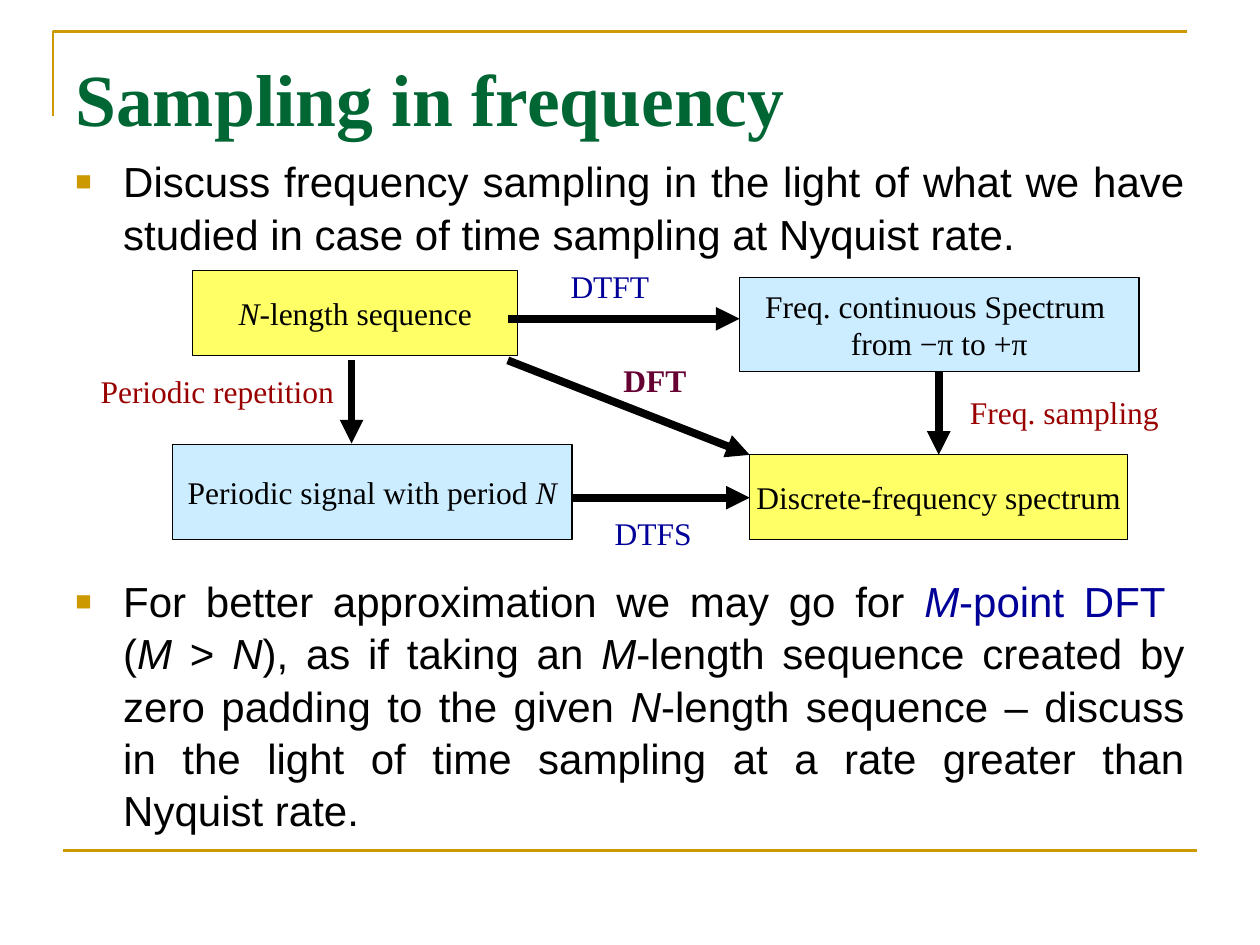
from lxml.etree import SubElement
from pptx import Presentation
from pptx.dml.color import RGBColor
from pptx.enum.shapes import MSO_CONNECTOR, MSO_SHAPE
from pptx.enum.text import MSO_ANCHOR, PP_ALIGN
from pptx.oxml.ns import qn
from pptx.util import Inches, Pt

COLORS = {
    "gold": "CC9900", "green": "006633", "black": "000000", "blue": "000099",
    "plum": "660033", "red": "990000", "yellow": "FFFF66", "sky": "CCECFF",
}
SERIF = {"name": "Times New Roman", "size": Pt(18)}
SANS = {"name": "Arial", "size": Pt(24)}
HEAD = {"name": "Times New Roman", "size": Pt(42), "bold": True}
ITAL = {"italic": True}


def tint(name):
    return RGBColor.from_string(COLORS[name])


def apply(item, values):
    for key, value in values.items():
        setattr(item, key, value)


class Page:
    """Holds the current slide and the shared style of its elements."""

    def __init__(self, slide):
        self.slide = slide
        self.shapes = slide.shapes

    def fill_para(self, para, runs, font, color="black"):
        """Add (text, format, colour) runs; a bare string takes the base style."""
        for run in runs:
            text, extra, shade = run if isinstance(run, tuple) else (run, {}, color)
            if text == "\n":
                para.add_line_break()
                continue
            part = para.add_run()
            part.text = text
            apply(part.font, {**font, **extra})
            part.font.color.rgb = tint(shade)

    def text(self, box, runs, font=SERIF, color="black", wrap=False, top=0.05):
        frame = self.shapes.add_textbox(*map(Inches, box)).text_frame
        apply(frame, {"word_wrap": wrap, "margin_top": Inches(top)})
        self.fill_para(frame.paragraphs[0], runs, font, color)
        return frame

    def bullet(self, para, runs, before):
        apply(para, {"alignment": PP_ALIGN.JUSTIFY, "line_spacing": 1.04,
                     "space_before": Pt(before)})
        props = para._p.get_or_add_pPr()
        props.set("marL", str(Inches(0.38)))
        props.set("indent", str(Inches(-0.38)))
        shade = SubElement(props, qn("a:buClr"))
        SubElement(shade, qn("a:srgbClr"), val=COLORS["gold"])
        SubElement(props, qn("a:buSzPct"), val="65000")
        SubElement(props, qn("a:buFont"), typeface="Arial")
        SubElement(props, qn("a:buChar"), char="■")
        self.fill_para(para, runs, SANS)

    def block(self, box, fill, *lines):
        shape = self.shapes.add_shape(MSO_SHAPE.RECTANGLE, *map(Inches, box))
        shape.shadow.inherit = False
        shape.fill.solid()
        shape.fill.fore_color.rgb = tint(fill)
        shape.line.color.rgb = tint("black")
        shape.line.width = Pt(0.75)
        frame = shape.text_frame
        apply(frame, {"word_wrap": False, "vertical_anchor": MSO_ANCHOR.MIDDLE})
        for i, runs in enumerate(lines):
            para = frame.add_paragraph() if i else frame.paragraphs[0]
            para.alignment = PP_ALIGN.CENTER
            self.fill_para(para, runs, SERIF)

    def line(self, start, end, color="black", width=4.5, arrow=True):
        link = self.shapes.add_connector(
            MSO_CONNECTOR.STRAIGHT, *map(Inches, (*start, *end)))
        link.line.color.rgb = tint(color)
        link.line.width = Pt(width)
        if arrow:
            edge = link._element.spPr.find(qn("a:ln"))
            SubElement(edge, qn("a:tailEnd"), type="triangle")
        SubElement(link._element.spPr, qn("a:effectLst"))

    def corner(self, *points):
        start, *rest = [tuple(map(Inches, point)) for point in points]
        pen = self.shapes.build_freeform(*start)
        pen.add_line_segments(rest, close=False)
        shape = pen.convert_to_shape()
        shape.shadow.inherit = False
        shape.fill.background()
        shape.line.color.rgb = tint("gold")
        shape.line.width = Pt(1.5)


def main():
    deck = Presentation()
    apply(deck, {"slide_width": Inches(10), "slide_height": Inches(7.5)})
    page = Page(deck.slides.add_slide(deck.slide_layouts[6]))

    page.corner((0.42, 0.92), (0.42, 0.25), (9.42, 0.25))
    page.line((0.5, 6.75), (9.5, 6.75), "gold", 1.5, arrow=False)
    page.text((0.5, 0.3, 9, 1.25), ["Sampling in frequency"], HEAD, "green",
              wrap=True, top=0.12)

    body = page.text((0.5, 1.17, 9, 5.58), [], wrap=True)
    page.bullet(body.paragraphs[0], [
        "Discuss frequency sampling in the light of what we have studied "
        "in case of time sampling at Nyquist rate."], 0)
    m, n = [(sign, ITAL, "black") for sign in "MN"]
    # The space above the second point leaves room for the diagram.
    page.bullet(body.add_paragraph(), [
        "For better approximation we may go for ",
        ("M", ITAL, "blue"), ("-point DFT ", {}, "blue"), ("\n", {}, "blue"),
        "(", m, " > ", n, "), as if taking an ", m,
        "-length sequence created by zero padding to the given ", n,
        "-length sequence – discuss in the light of time sampling at a rate "
        "greater than Nyquist rate."], 180)

    page.line((2.79, 2.86), (2.79, 3.52))
    page.block((1.53, 2.15, 2.58, 0.67), "yellow", [n, "-length sequence"])
    page.block((5.87, 2.2, 3.17, 0.75), "sky",
               ["Freq. continuous Spectrum "], ["from −π to +π"])
    page.block((5.95, 3.61, 3, 0.67), "yellow", ["Discrete-frequency spectrum"])
    page.block((1.37, 3.53, 3.17, 0.75), "sky", ["Periodic signal with period ", n])

    for start, end in [
        ((4.03, 2.53), (5.87, 2.53)),
        ((4.03, 2.86), (5.95, 3.61)),
        ((7.45, 2.95), (7.45, 3.61)),
        ((4.53, 3.95), (5.95, 3.95)),
    ]:
        page.line(start, end)

    for left, top, width, label, color, extra in [
        (4.43, 2.07, 0.83, "DTFT", "blue", {}),
        (4.85, 2.82, 0.7, "DFT", "plum", {"bold": True}),
        (7.6, 3.07, 1.7, "Freq. sampling", "red", {}),
        (4.78, 4.03, 0.81, "DTFS", "blue", {}),
        (0.7, 2.9, 2.06, "Periodic repetition", "red", {}),
    ]:
        page.text((left, top, width, 0.4), [label], {**SERIF, **extra}, color)

    deck.save("out.pptx")


if __name__ == "__main__":
    main()
